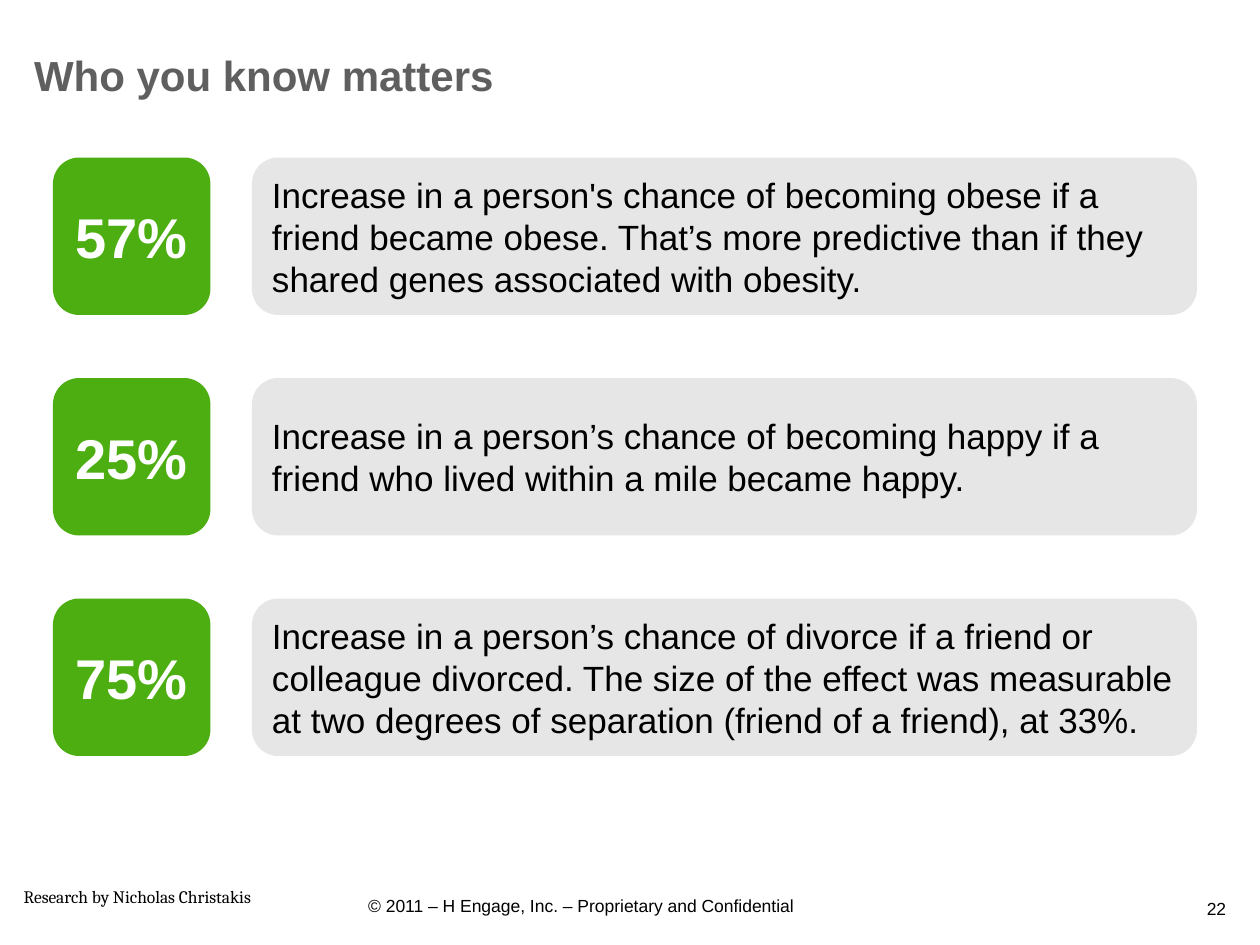
from pptx import Presentation
from pptx.dml.color import RGBColor as RGB
from pptx.enum.shapes import MSO_SHAPE as Shape
from pptx.enum.text import MSO_ANCHOR as Anchor, PP_ALIGN as Align
from pptx.util import Inches as Inch, Pt

HUES = {"title": "5F5F5F", "badge": "4CAE11", "panel": "E6E6E6",
        "white": "FFFFFF", "black": "000000"}

FACTS = [
    ("57%", "Increase in a person's chance of becoming obese if a friend became obese. "
            "That’s more predictive than if they shared genes associated with obesity."),
    ("25%", "Increase in a person’s chance of becoming happy if a friend who lived "
            "within a mile became happy."),
    ("75%", "Increase in a person’s chance of divorce if a friend or colleague divorced. "
            "The size of the effect was measurable at two degrees of separation "
            "(friend of a friend), at 33%."),
]


def write(shape, text, size, hue="black", align=Align.LEFT, anchor=Anchor.MIDDLE,
          bold=False, face="Arial", wrap=True):
    frame = shape.text_frame
    frame.text = text
    frame.word_wrap = wrap
    frame.vertical_anchor = anchor
    para = frame.paragraphs[0]
    para.alignment = align
    font = para.runs[0].font
    font.name, font.size, font.bold = face, Pt(size), bold
    font.color.rgb = RGB.from_string(HUES[hue])


def card(left, top, width, height, hue):
    box = slide.shapes.add_shape(Shape.ROUNDED_RECTANGLE, Inch(left), Inch(top),
                                 Inch(width), Inch(height))
    box.shadow.inherit = False
    box.fill.solid()
    box.fill.fore_color.rgb = RGB.from_string(HUES[hue])
    box.line.fill.background()
    return box


deck = Presentation()
deck.slide_width, deck.slide_height = Inch(10), Inch(7.5)
slide = deck.slides.add_slide(deck.slide_layouts[5])

title = slide.shapes.title
title.left, title.top = Inch(0.17), Inch(0.17)
title.width, title.height = Inch(9.67), Inch(0.67)
write(title, "Who you know matters", 24, "title", anchor=Anchor.BOTTOM, bold=True)

side, first, pitch = 1.25, 1.25, 1.75
for row, (share, claim) in enumerate(FACTS):
    top = first + row * pitch
    write(card(0.42, top, side, side, "badge"), share, 32, "white", Align.CENTER, bold=True)
    write(card(2, top, 7.5, side, "panel"), claim, 20)

notes = [
    ((2.06, 6.99, 5.1, 0.4), "© 2011 – H Engage, Inc. – Proprietary and Confidential",
     {"align": Align.CENTER}),
    ((7.5, 7.08, 2.33, 0.25), "22", {"align": Align.RIGHT, "anchor": Anchor.TOP}),
    ((0.09, 6.98, 2.33, 0.27), "Research by Nicholas Christakis",
     {"anchor": Anchor.TOP, "face": "Cambria", "wrap": False}),
]
for place, text, style in notes:
    write(slide.shapes.add_textbox(*map(Inch, place)), text, 10, **style)

deck.save("out.pptx")
